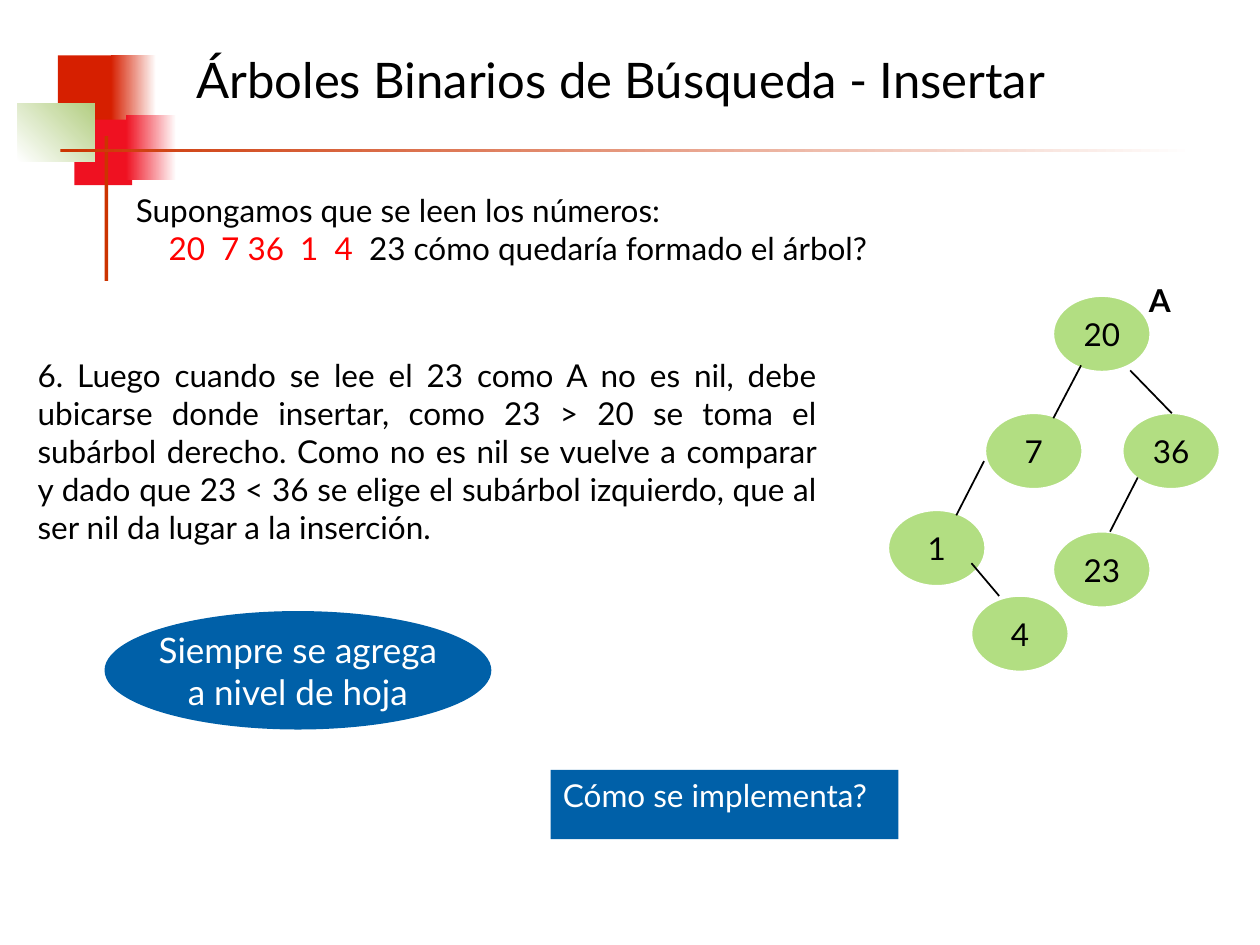
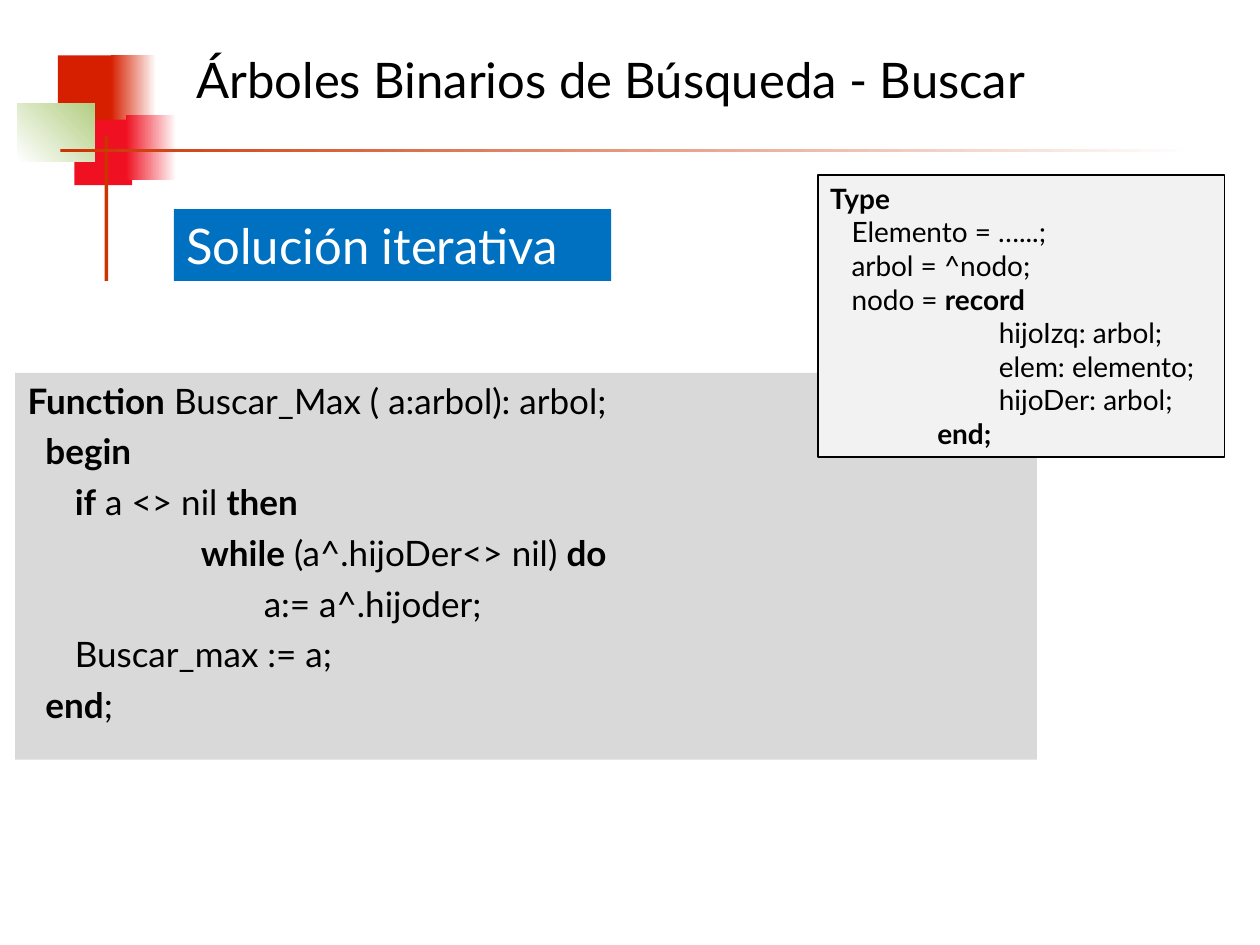
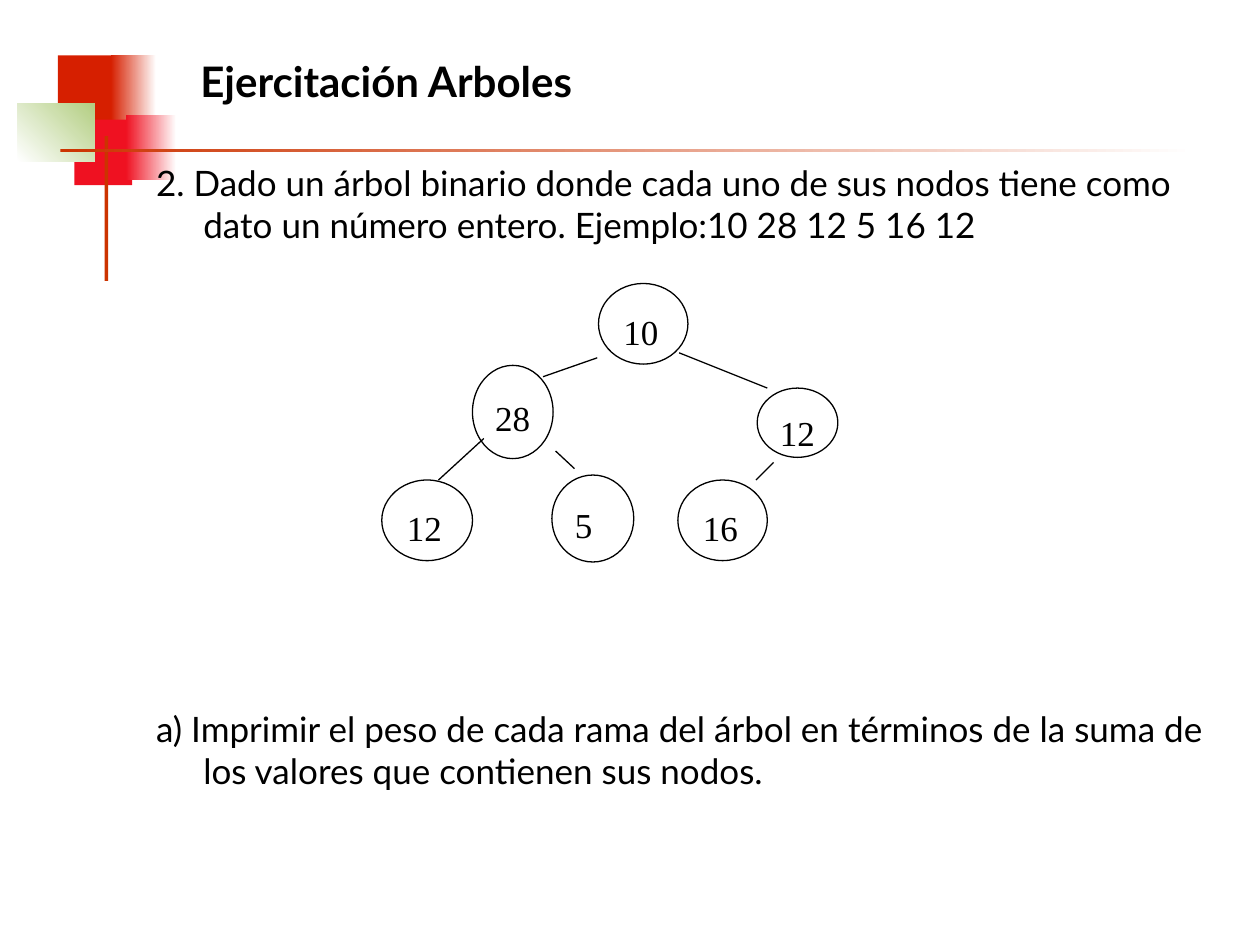
"""Builds three slides on binary search trees."""
from lxml import etree
from pptx import Presentation
from pptx.dml.color import RGBColor
from pptx.enum.shapes import MSO_CONNECTOR, MSO_SHAPE
from pptx.enum.text import MSO_ANCHOR, MSO_AUTO_SIZE, PP_ALIGN
from pptx.oxml.ns import qn
from pptx.util import Inches, Pt

RECT, OVAL = MSO_SHAPE.RECTANGLE, MSO_SHAPE.OVAL
STRAIGHT = MSO_CONNECTOR.STRAIGHT
TOP, MIDDLE = MSO_ANCHOR.TOP, MSO_ANCHOR.MIDDLE
LEFT, CENTER, JUSTIFY = PP_ALIGN.LEFT, PP_ALIGN.CENTER, PP_ALIGN.JUSTIFY
NO_FIT = MSO_AUTO_SIZE.NONE
FONT, SERIF = "Lato", "Times New Roman"
COLORS = {
    "black": "000000", "white": "FFFFFF", "red": "FF0000",
    "brick": "D61F00", "crimson": "EF1121", "moss": "B3CE82",
    "rust": "CC3300", "leaf": "B2DE82", "blue": "0060A8",
    "sky": "0070C0", "gray": "D9D9D9", "pale": "F2F2F2",
}
RGB = {name: RGBColor.from_string(code) for name, code in COLORS.items()}

prs = Presentation()
prs.slide_width, prs.slide_height = Inches(10), Inches(7.5)
CELL = prs.slide_width // 100


def add_box(slide, kind, box, lines=(), size=18, color="black", fill=None,
            line=None, width=1, align=LEFT, anchor=TOP, font=FONT,
            inset=(1, 0.5), before=0, emphasis=None):
    """Adds a box in grid cells; text between asterisks is emphasised."""
    x, y, w, h = (round(v * CELL) for v in box)
    if kind is None:
        sp = slide.shapes.add_textbox(x, y, w, h)
    else:
        sp = slide.shapes.add_shape(kind, x, y, w, h)
        sp.shadow.inherit = False
        if line:
            sp.line.color.rgb = RGB[line]
            sp.line.width = Pt(width)
        else:
            sp.line.fill.background()
    if fill:
        sp.fill.solid()
        sp.fill.fore_color.rgb = RGB[fill]
    tf = sp.text_frame
    tf.word_wrap = kind != OVAL
    tf.vertical_anchor = anchor
    tf.margin_left = tf.margin_right = round(inset[0] * CELL)
    tf.margin_top = tf.margin_bottom = round(inset[1] * CELL)
    for i, text in enumerate(lines):
        p = tf.add_paragraph() if i else tf.paragraphs[0]
        p.alignment = align
        if i and before:
            p.space_before = Pt(before)
        for j, part in enumerate(text.split("*")):
            if part:
                marked = j % 2 == 1
                r = p.add_run()
                r.text = part
                r.font.name, r.font.size = font, Pt(size)
                r.font.bold = marked and emphasis is None
                r.font.color.rgb = RGB[emphasis if marked and emphasis else color]
    return sp


def add_edges(slide, edges, width):
    """Joins pairs of points with thin black lines."""
    for edge in edges:
        cx = slide.shapes.add_connector(STRAIGHT, *(round(v * CELL) for v in edge))
        cx.line.color.rgb = RGB["black"]
        cx.line.width = Pt(width)
        etree.SubElement(cx._element.spPr, qn("a:effectLst"))


layout = prs.slide_layouts[5]
for ph in list(layout.placeholders)[1:]:
    ph.element.getparent().remove(ph.element)

titles = [
    ("Árboles Binarios de Búsqueda - Insertar", 28, False, (14.6, 1.3, 81.1, 10)),
    ("Árboles Binarios de Búsqueda - Buscar", 28, False, (14.6, 1.3, 81.1, 10)),
    ("Ejercitación Arboles", 24, True, (14.9, 1.3, 39.8, 10.2)),
]
slides = []
for text, size, bold, box in titles:
    s = prs.slides.add_slide(layout)
    title = s.shapes.title
    title.left, title.top, title.width, title.height = (round(v * CELL) for v in box)
    tf = title.text_frame
    tf.auto_size, tf.word_wrap, tf.vertical_anchor = NO_FIT, True, MIDDLE
    p = tf.paragraphs[0]
    p.alignment = LEFT
    r = p.add_run()
    r.text = text
    r.font.name, r.font.size, r.font.bold = FONT, Pt(size), bold
    r.font.color.rgb = RGB["black"]
    slides.append(s)
insert, search, exercise = slides

bands = [
    ((4.6, 4.4, 4.8, 5.2), "brick", None, 0),
    ((8.8, 4.4, 3.6, 5.2), "brick", "white", 0),
    ((5.9, 9.5, 4.6, 5.2), "crimson", None, 0),
    ((10, 9.1, 4, 5.2), "crimson", "white", 0),
    ((1.4, 8.2, 6.1, 4.6), "white", "moss", 45),
    ((8.3, 10.8, 0.3, 11.5), "rust", None, 0),
    ((4.8, 11.8, 90, 0.3), "rust", "white", 0),
]
for box, start, end, angle in bands:
    sp = add_box(insert, RECT, box, fill=start)
    if end:
        sp.fill.gradient()
        sp.fill.gradient_angle = angle
        for stop, name in zip(sp.fill.gradient_stops, (start, end)):
            stop.color.rgb = RGB[name]
    layout.shapes.element.append(sp.element)

add_box(insert, None, (2, 27.8, 63.8, 16), [
    "6. Luego cuando se lee el 23 como A no es nil, debe ubicarse donde insertar, "
    "como 23 > 20 se toma el subárbol derecho. Como no es nil se vuelve a comparar "
    "y dado que 23 < 36 se elige el subárbol izquierdo, que al ser nil da lugar "
    "a la inserción."], align=JUSTIFY)
nodes = [("20", 83.6, 23.5), ("7", 78.2, 32.8), ("36", 89.1, 32.8),
         ("1", 70.5, 40.5), ("4", 77.1, 47.3), ("23", 83.6, 42.2)]
for label, x, y in nodes:
    add_box(insert, OVAL, (x, y, 7.7, 6), [label], fill="leaf", line="white",
            align=CENTER, anchor=MIDDLE)
add_box(insert, None, (90.2, 21.8, 5.5, 4), ["*A*"])
add_edges(insert, [
    (85.8, 29, 83.6, 33.2), (89.7, 29.4, 93, 32.8), (78.1, 36.6, 75.9, 40.9),
    (77.1, 44.7, 79.3, 47.3), (90.3, 37.9, 88.1, 42.2)], 1)
add_box(insert, RECT, (43.7, 61.1, 27.6, 5.5), ["Cómo se implementa?"],
        color="white", fill="blue")
add_box(insert, OVAL, (8.3, 48.5, 30.7, 9.4), ["Siempre se agrega", "a nivel de hoja"],
        20, "white", "blue", align=CENTER, anchor=MIDDLE)
numbers = add_box(insert, None, (9.8, 14.7, 85.9, 7), [
    "Supongamos que se leen los números:",
    "*20  7 36  1  4*  23 cómo quedaría formado el árbol?"],
    align=JUSTIFY, emphasis="red")
numbers.text_frame.paragraphs[1]._p.get_or_add_pPr().set("marL", str(round(2.6 * CELL)))

code = add_box(search, RECT, (1.2, 29.6, 81.1, 30.7), [
    "*Function* Buscar_Max ( a:arbol): arbol;",
    "  *begin*",
    "\t*if* a <> nil *then*",
    "\t\t\t*while* (a^.hijoDer<> nil) *do*",
    "\t\t\t\ta:= a^.hijoder;",
    "\tBuscar_max := a;",
    "  *end*;"], 20, fill="gray", before=5)
record = add_box(search, RECT, (64.9, 13.9, 32.3, 22.4), [
    "*Type*",
    "   Elemento = …...;",
    "   arbol = ^nodo;",
    "   nodo = *record*",
    "\t      hijoIzq: arbol;",
    "\t      elem: elemento;",
    "\t      hijoDer: arbol;",
    "               *end;*"], 16, fill="pale", line="black")
for sp in (code, record):
    for p in sp.text_frame.paragraphs:
        tabs = etree.SubElement(p._p.get_or_add_pPr(), qn("a:tabLst"))
        for n in range(8):
            etree.SubElement(tabs, qn("a:tab"), pos=str(10 * n * CELL), algn="l")
add_box(search, RECT, (13.8, 16.6, 34.7, 5.7), ["Solución iterativa"],
        28, "white", "sky")

task = add_box(exercise, None, (11.4, 12.3, 85.9, 59.8), [
    "2. Dado un árbol binario donde cada uno de sus nodos tiene como dato un "
    "número entero. Ejemplo:10 28 12 5 16 12",
    "a) Imprimir el peso de cada rama del árbol en términos de la suma de los "
    "valores que contienen sus nodos."], 20, before=264)
for sp in (code, task):
    for p in sp.text_frame.paragraphs:
        pPr = p._p.get_or_add_pPr()
        pPr.set("marL", str(round(3.75 * CELL)))
        pPr.set("indent", str(round(-3.75 * CELL)))

nodes = [("10", 47.5, 22.5, 7.1, 6.4), ("28", 37.5, 29, 6.4, 7.4),
         ("12", 60.1, 30.8, 6.4, 5.5), ("5", 43.8, 37.7, 6.5, 6.9),
         ("16", 53.8, 38.1, 7.1, 6.4), ("12", 30.3, 38.1, 7.2, 6.4)]
for label, x, y, w, h in nodes:
    add_box(exercise, OVAL, (x, y, w, h), fill="white", line="black", width=0.75)
    add_box(exercise, None, (x + w / 4, y + h / 3, w, h * 2 / 3), [label],
            20, font=SERIF, inset=(0.2, 0))
add_edges(exercise, [
    (47.4, 28.4, 43.1, 29.9), (53.9, 28, 60.9, 30.8), (38.4, 34.8, 34.8, 38.1),
    (44.1, 35.8, 45.6, 37.2), (61.4, 36.7, 60, 38.1)], 0.75)

prs.save("out.pptx")
